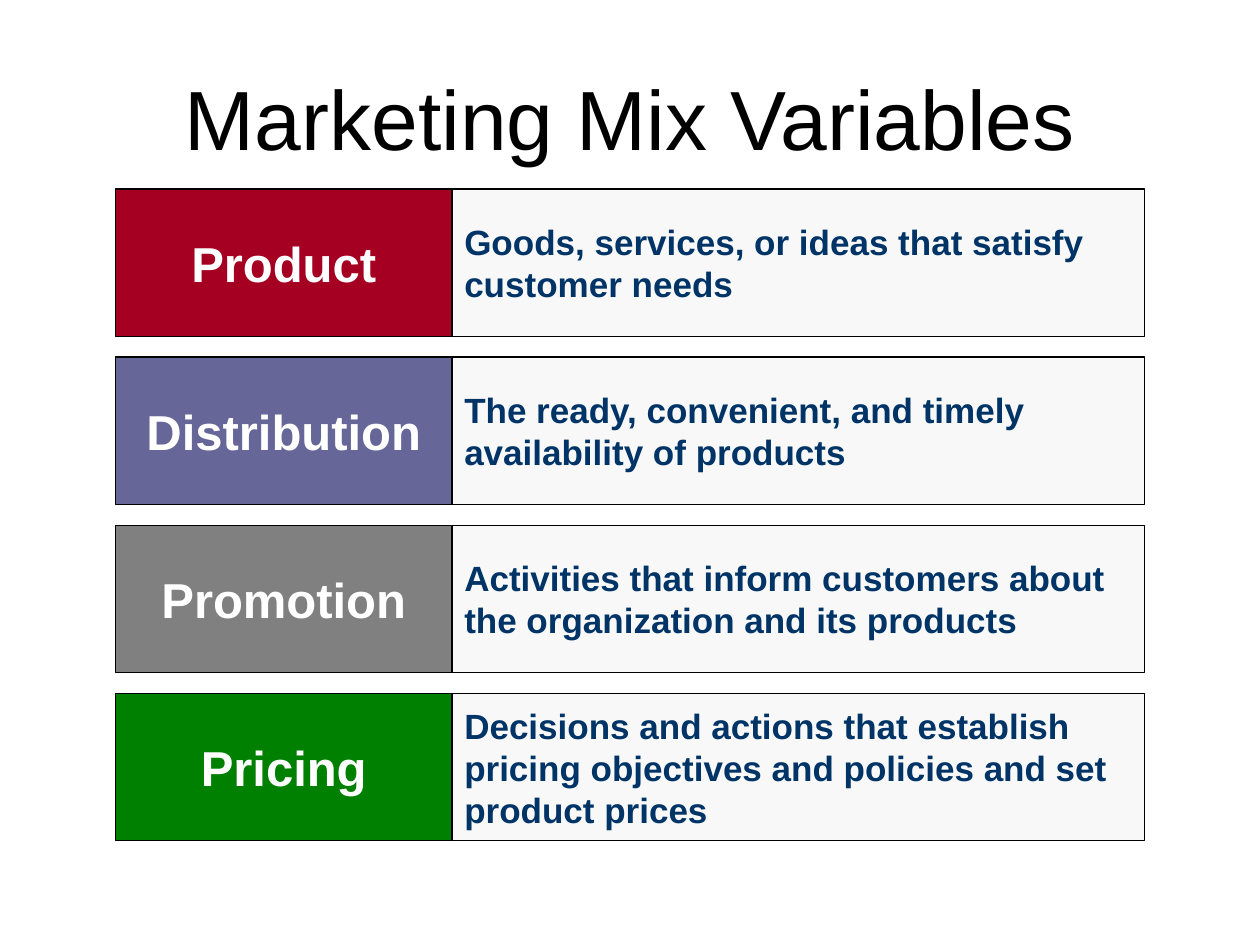
from dataclasses import dataclass
from typing import NamedTuple

from pptx import Presentation
from pptx import util as u
from pptx.dml.color import RGBColor
from pptx.enum import shapes, text


@dataclass(frozen=True)
class Theme:
    """Colours, font and type sizes of the slide."""
    font: str = "Arial"
    ink: str = "000000"
    label_ink: str = "FFFFFF"
    detail_ink: str = "003366"
    detail_fill: str = "F8F8F8"
    title_size: int = 48
    label_size: int = 28
    detail_size: int = 20
    line_width: float = 0.75


class Variable(NamedTuple):
    """A marketing mix variable with its label colour."""
    name: str
    detail: str
    fill: str


class Area(NamedTuple):
    """A rectangle in centimetres."""
    left: float
    top: float
    width: float
    height: float

    def lengths(self) -> list[u.Cm]:
        """Return the sides as lengths."""
        return [u.Cm(side) for side in self]


THEME = Theme()
LEFT, TOP, PITCH, HEIGHT = 2.33, 3.81, 3.39, 2.97
LABEL_WIDTH, DETAIL_WIDTH = 6.78, 13.97
VARIABLES = [
    Variable("Product", "Goods, services, or ideas that satisfy customer needs", "A50021"),
    Variable("Distribution", "The ready, convenient, and timely availability of products", "666699"),
    Variable("Promotion", "Activities that inform customers about the organization and its products", "808080"),
    Variable("Pricing", "Decisions and actions that establish pricing objectives and policies and set product prices", "008000"),
]


def write(box, words: str, *, size: int, color: str, bold: bool = False,
          align=text.PP_ALIGN.CENTER) -> None:
    """Write one vertically centred paragraph into a box."""
    frame = box.text_frame
    frame.word_wrap = True
    frame.vertical_anchor = text.MSO_ANCHOR.MIDDLE
    para = frame.paragraphs[0]
    para.alignment = align
    span = para.add_run()
    span.text = words
    span.font.name = THEME.font
    span.font.size = u.Pt(size)
    span.font.bold = bold
    span.font.color.rgb = RGBColor.from_string(color)


def add_panel(page, area: Area, fill: str):
    """Draw an outlined rectangle and return it."""
    box = page.shapes.add_shape(shapes.MSO_SHAPE.RECTANGLE, *area.lengths())
    box.shadow.inherit = False
    box.fill.solid()
    box.fill.fore_color.rgb = RGBColor.from_string(fill)
    box.line.color.rgb = RGBColor.from_string(THEME.ink)
    box.line.width = u.Pt(THEME.line_width)
    return box


def add_variable(page, variable: Variable, top: float) -> None:
    """Draw a label and its description side by side."""
    label = add_panel(page, Area(LEFT, top, LABEL_WIDTH, HEIGHT), variable.fill)
    write(label, variable.name, size=THEME.label_size, color=THEME.label_ink, bold=True)
    detail = add_panel(page, Area(LEFT + LABEL_WIDTH, top, DETAIL_WIDTH, HEIGHT), THEME.detail_fill)
    write(detail, variable.detail, size=THEME.detail_size, color=THEME.detail_ink,
          bold=True, align=text.PP_ALIGN.LEFT)


def main() -> None:
    """Build and save the slide."""
    deck = Presentation()
    deck.slide_width, deck.slide_height = u.Cm(25.4), u.Cm(19.05)
    page = deck.slides.add_slide(deck.slide_layouts[6])
    title = page.shapes.add_textbox(*Area(1.27, 0.76, 22.86, 3.18).lengths())
    write(title, "Marketing Mix Variables", size=THEME.title_size, color=THEME.ink)
    for row, variable in enumerate(VARIABLES):
        add_variable(page, variable, TOP + row * PITCH)
    deck.save("out.pptx")


if __name__ == "__main__":
    main()
